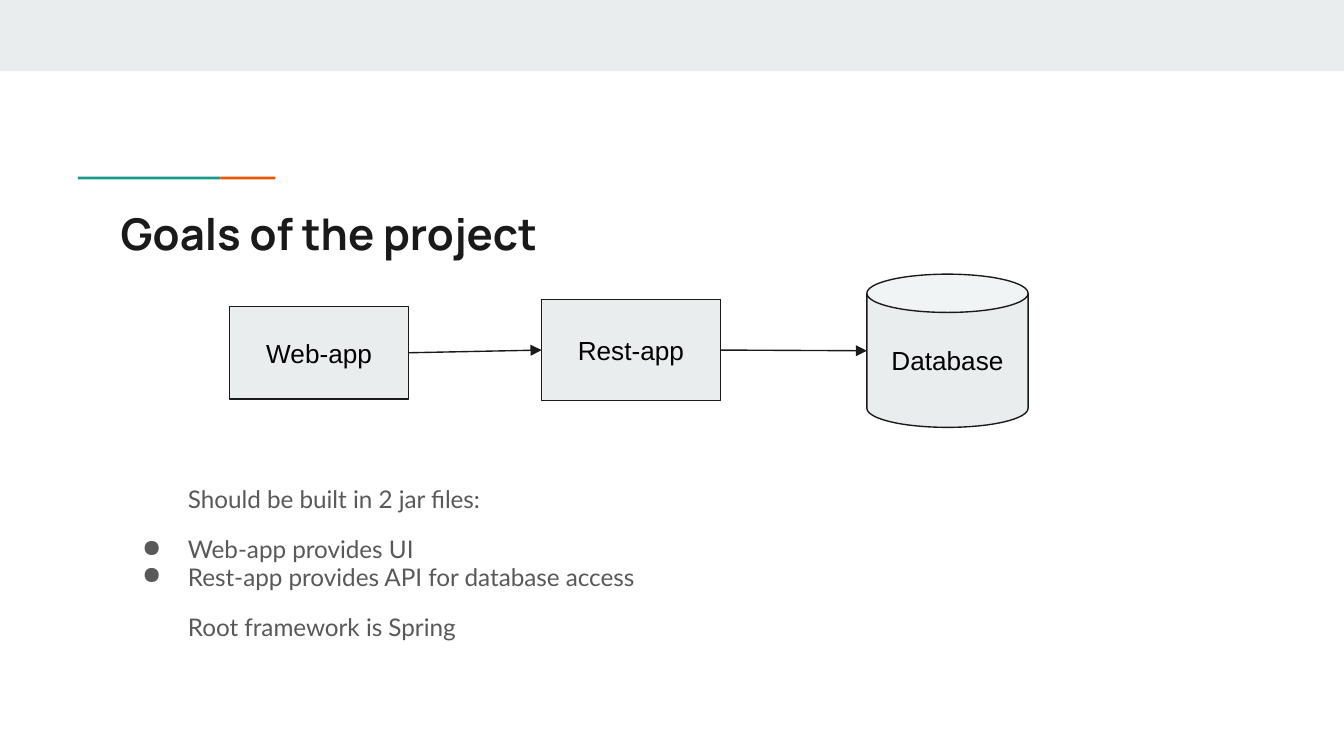
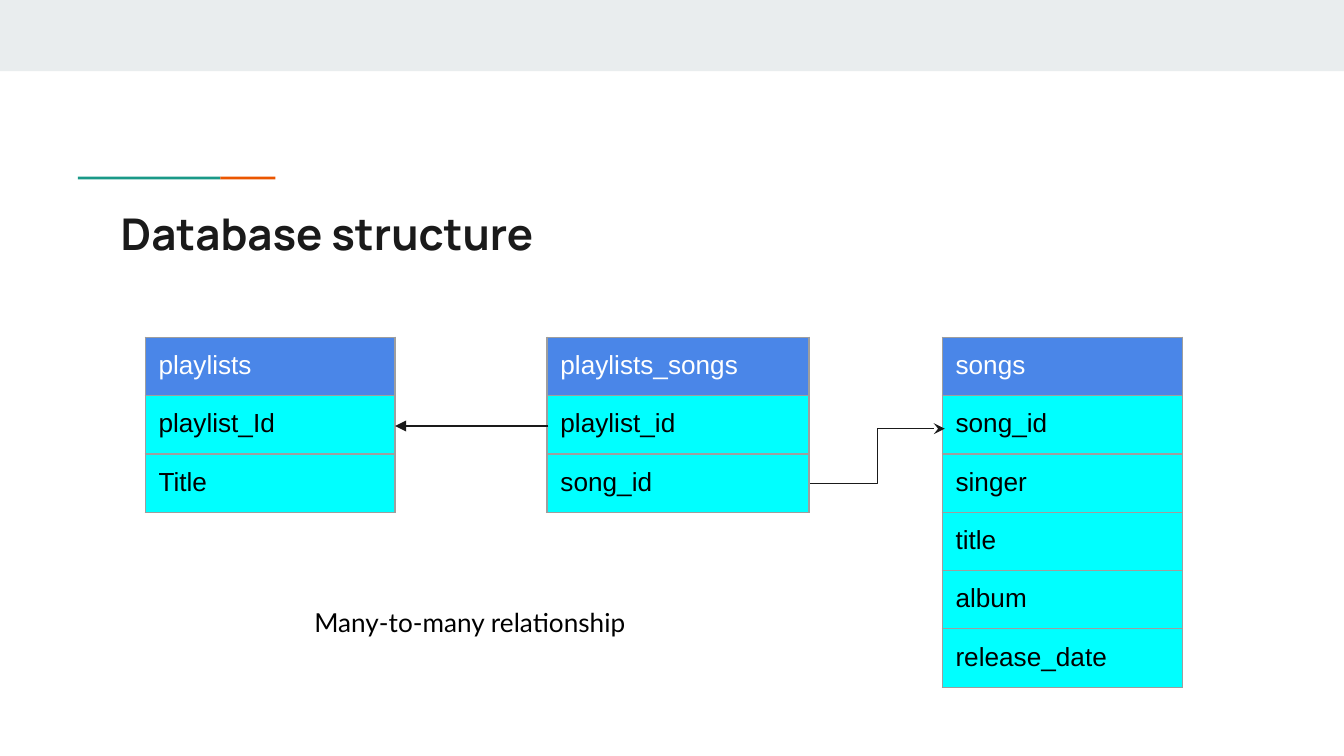
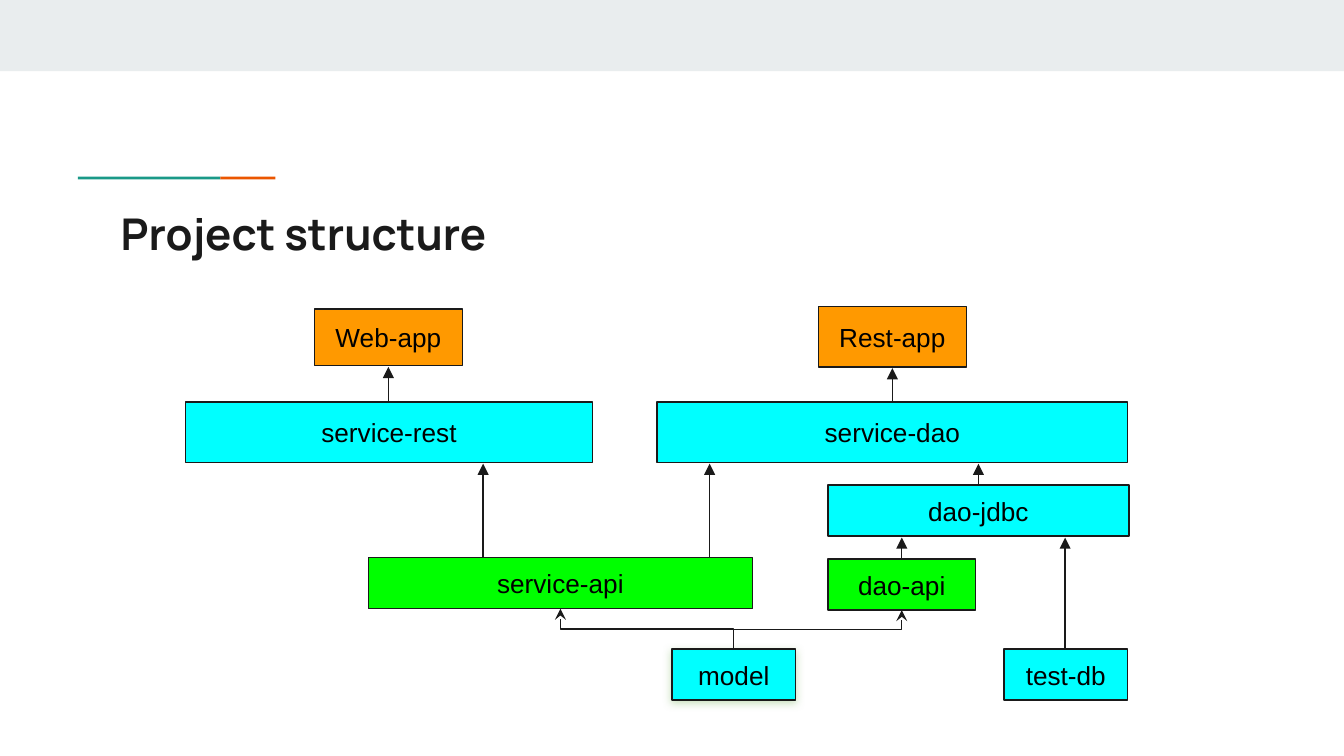
from dataclasses import dataclass

from lxml import etree
from pptx import Presentation
from pptx.dml.color import RGBColor
from pptx.enum.shapes import MSO_CONNECTOR, MSO_SHAPE
from pptx.enum.text import MSO_ANCHOR, PP_ALIGN
from pptx.oxml.ns import qn
from pptx.util import Inches, Pt

RECTANGLE, CAN = MSO_SHAPE.RECTANGLE, MSO_SHAPE.CAN
STRAIGHT, ELBOW = MSO_CONNECTOR.STRAIGHT, MSO_CONNECTOR.ELBOW
MIDDLE, TOP, CENTER = MSO_ANCHOR.MIDDLE, MSO_ANCHOR.TOP, PP_ALIGN.CENTER

# The slide is a grid of 100 columns by 56.25 rows
COLUMNS, ROWS = 100, 56.25
CELL = Inches(0.1)
TABLE_ROW = 4.2
LINE_WIDTH = Pt(0.75)

COLORS = {
    "band": "E9EDEE", "teal": "1A9988", "orange": "EB5600", "ink": "1A1A1A",
    "body": "595959", "black": "000000", "white": "FFFFFF", "header": "4A86E8",
    "cyan": "00FFFF", "green": "00FF00", "amber": "FF9900", "border": "9E9E9E",
    "glow": "93C47D",
}
FRAME_FORMAT = {
    "word_wrap": True,
    "margin_left": CELL, "margin_right": CELL, "margin_top": CELL, "margin_bottom": CELL,
}


@dataclass(frozen=True)
class TextStyle:
    font: str = "Arial"
    size: float = 14
    color: str = "black"
    bold: bool = False


LABEL = TextStyle()
HEADER = TextStyle(color="white")
TITLE = TextStyle("Manrope", 23.4, "ink", True)
BODY = TextStyle("Lato", 13, "body")
CAPTION = TextStyle("Lato")


@dataclass(frozen=True)
class Block:
    text: str
    left: float
    top: float
    width: float
    height: float
    color: str
    preset: int = RECTANGLE
    glow: bool = False

    @property
    def center(self) -> float:
        return self.left + self.width / 2

    @property
    def middle(self) -> float:
        return self.top + self.height / 2

    @property
    def right(self) -> float:
        return self.left + self.width

    @property
    def bottom(self) -> float:
        return self.top + self.height


@dataclass(frozen=True)
class BodyLine:
    text: str
    margin: float
    indent: float
    space_before: float = 0
    bullet: bool = False


@dataclass(frozen=True)
class Entity:
    left: float
    width: float
    names: tuple[str, ...]


# Content
FLOW = (
    Block("Web-app", 17.1, 22.8, 13.3, 6.9, "band"),
    Block("Rest-app", 40.3, 22.3, 13.3, 7.5, "band"),
    Block("Database", 64.5, 20.4, 12, 11.4, "band", CAN),
)
GOALS = (
    BodyLine("Should be built in 2 jar files:", 0, 5),
    BodyLine("Web-app provides UI", 5, -3.4, 12, True),
    BodyLine("Rest-app provides API for database access", 5, -3.4, 0, True),
    BodyLine("Root framework is Spring", 5, 0, 12),
)
ENTITIES = (
    Entity(10.8, 18.6, ("playlists", "playlist_Id", "Title")),
    Entity(40.7, 19.5, ("playlists_songs", "playlist_id", "song_id")),
    Entity(70.1, 17.9, ("songs", "song_id", "singer", "title", "album", "release_date")),
)
MODULES = {block.text: block for block in (
    Block("Web-app", 23.4, 23, 11, 4.2, "amber"),
    Block("Rest-app", 60.9, 22.8, 11, 4.5, "amber"),
    Block("service-rest", 13.8, 29.9, 30.3, 4.5, "cyan"),
    Block("service-dao", 48.9, 29.9, 35, 4.5, "cyan"),
    Block("dao-jdbc", 61.6, 36.1, 22.4, 3.8, "cyan"),
    Block("service-api", 27.4, 41.5, 28.6, 3.8, "green"),
    Block("dao-api", 61.6, 41.6, 11, 3.8, "green"),
    Block("model", 50, 48.3, 9.2, 3.8, "cyan", glow=True),
    Block("test-db", 74.7, 48.3, 9.2, 3.8, "cyan"),
)}
# Lower module, upper module, column of the arrow between them
DEPENDENCIES = (
    ("service-rest", "Web-app", 28.9), ("service-dao", "Rest-app", 66.4),
    ("service-api", "service-rest", 35.95), ("service-api", "service-dao", 52.8),
    ("dao-jdbc", "service-dao", 72.8), ("dao-api", "dao-jdbc", 67.1),
    ("test-db", "dao-jdbc", 79.25),
)


def cells(count: float) -> int:
    return round(count * CELL)


def rgb(name: str) -> RGBColor:
    return RGBColor.from_string(COLORS[name])


def apply_format(target, values: dict) -> None:
    for name, value in values.items():
        setattr(target, name, value)


def add_color(parent, name: str):
    fill = etree.SubElement(parent, qn("a:solidFill"))
    return etree.SubElement(fill, qn("a:srgbClr"), val=COLORS[name])


def write(paragraph, text: str, style: TextStyle) -> None:
    run = paragraph.add_run()
    run.text = text
    apply_format(run.font, {"name": style.font, "size": Pt(style.size), "bold": style.bold})
    run.font.color.rgb = rgb(style.color)


def add_text_frame(slide, left: float, top: float, width: float, height: float):
    frame = slide.shapes.add_textbox(*map(cells, (left, top, width, height))).text_frame
    apply_format(frame, FRAME_FORMAT | {"vertical_anchor": TOP})
    return frame


def add_block(slide, block: Block, outlined: bool = True) -> None:
    box = map(cells, (block.left, block.top, block.width, block.height))
    shape = slide.shapes.add_shape(block.preset, *box)
    shape.shadow.inherit = False
    shape.fill.solid()
    shape.fill.fore_color.rgb = rgb(block.color)
    if outlined:
        shape.line.color.rgb = rgb("ink")
        shape.line.width = LINE_WIDTH
    else:
        shape.line.fill.background()
    if block.glow:
        effects = shape._element.spPr.find(qn("a:effectLst"))
        shadow = etree.SubElement(effects, qn("a:outerShdw"), blurRad=str(Pt(4.5)),
                                  dist=str(Pt(1.5)), dir="5400000", algn="bl", rotWithShape="0")
        color = etree.SubElement(shadow, qn("a:srgbClr"), val=COLORS["glow"])
        etree.SubElement(color, qn("a:alpha"), val="50000")
    if block.text:
        frame = shape.text_frame
        apply_format(frame, FRAME_FORMAT | {"vertical_anchor": MIDDLE})
        frame.paragraphs[0].alignment = CENTER
        write(frame.paragraphs[0], block.text, LABEL)


def add_arrow(slide, start: tuple[float, float], end: tuple[float, float],
              kind: int = STRAIGHT, head: str = "triangle"):
    connector = slide.shapes.add_connector(kind, *map(cells, start + end))
    connector.line.color.rgb = rgb("ink")
    connector.line.width = LINE_WIDTH
    properties = connector._element.spPr
    etree.SubElement(properties.find(qn("a:ln")), qn("a:tailEnd"), type=head)
    etree.SubElement(properties, qn("a:effectLst"))
    return connector


def add_rising_elbow(slide, lower: Block, upper: Block) -> None:
    """Leave the lower block upwards, using an elbow turned by a quarter."""
    run, rise = upper.center - lower.center, lower.top - upper.bottom
    column, row = (lower.center + upper.center) / 2, (lower.top + upper.bottom) / 2
    side = 1 if run > 0 else -1
    connector = add_arrow(slide, (column - side * rise / 2, row - abs(run) / 2),
                          (column + side * rise / 2, row + abs(run) / 2), ELBOW, "stealth")
    turn = 270 if run > 0 else 90
    connector._element.spPr.find(qn("a:xfrm")).set("rot", str(turn * 60000))


def add_entity(slide, entity: Entity, top: float) -> None:
    count = len(entity.names)
    box = map(cells, (entity.left, top, entity.width, count * TABLE_ROW))
    table = slide.shapes.add_table(count, 1, *box).table
    apply_format(table, {"first_row": False, "horz_banding": False})
    for index, name in enumerate(entity.names):
        table.rows[index].height = cells(TABLE_ROW)
        cell = table.cell(index, 0)
        properties = cell._tc.get_or_add_tcPr()
        for side in ("lnL", "lnR", "lnT", "lnB"):
            add_color(etree.SubElement(properties, qn(f"a:{side}"), w=str(LINE_WIDTH)), "border")
        cell.fill.solid()
        cell.fill.fore_color.rgb = rgb("cyan" if index else "header")
        apply_format(cell, FRAME_FORMAT | {"vertical_anchor": TOP})
        write(cell.text_frame.paragraphs[0], name, LABEL if index else HEADER)


def add_body(slide, lines: tuple[BodyLine, ...]) -> None:
    frame = add_text_frame(slide, 8, 35.2, 84.1, 17.4)
    for index, line in enumerate(lines):
        paragraph = frame.add_paragraph() if index else frame.paragraphs[0]
        apply_format(paragraph, {"line_spacing": 0.95, "space_before": Pt(line.space_before)})
        properties = paragraph._p.get_or_add_pPr()
        properties.set("marL", str(cells(line.margin)))
        properties.set("indent", str(cells(line.indent)))
        if line.bullet:
            color = etree.SubElement(properties, qn("a:buClr"))
            etree.SubElement(color, qn("a:srgbClr"), val=COLORS["body"])
            etree.SubElement(properties, qn("a:buChar"), char="●")
        write(paragraph, line.text, BODY)


def add_slide(presentation, title: str):
    """Blank slide with the shared band, accent line and title."""
    slide = presentation.slides.add_slide(presentation.slide_layouts[6])
    for part in (Block("", 0, 0, COLUMNS, 5.3, "band"),
                 Block("", 5.8, 13.15, 10.6, 0.2, "teal"),
                 Block("", 16.4, 13.15, 4.1, 0.2, "orange")):
        add_block(slide, part, outlined=False)
    write(add_text_frame(slide, 8, 14.4, 84.1, 5.9).paragraphs[0], title, TITLE)
    return slide


def build_goals(presentation) -> None:
    slide = add_slide(presentation, "Goals of the project")
    add_body(slide, GOALS)
    for block in FLOW:
        add_block(slide, block)
    for source, target in zip(FLOW, FLOW[1:]):
        add_arrow(slide, (source.right, source.middle), (target.left, target.middle))


def build_database(presentation) -> None:
    slide = add_slide(presentation, "Database structure")
    for entity in ENTITIES:
        add_entity(slide, entity, 25.1)
    add_arrow(slide, (40.8, 31.7), (29.4, 31.7))
    add_arrow(slide, (60.3, 36), (70.3, 31.9), ELBOW, "stealth")
    caption = add_text_frame(slide, 22.4, 44.1, 25.4, 4.4)
    write(caption.paragraphs[0], "Many-to-many relationship", CAPTION)


def build_project(presentation) -> None:
    slide = add_slide(presentation, "Project structure")
    for block in MODULES.values():
        add_block(slide, block)
    for lower, upper, column in DEPENDENCIES:
        add_arrow(slide, (column, MODULES[lower].top), (column, MODULES[upper].bottom + 0.1))
    for upper in ("service-api", "dao-api"):
        add_rising_elbow(slide, MODULES["model"], MODULES[upper])


def main() -> None:
    presentation = Presentation()
    apply_format(presentation, {"slide_width": cells(COLUMNS), "slide_height": cells(ROWS)})
    for build in (build_goals, build_database, build_project):
        build(presentation)
    presentation.save("out.pptx")


if __name__ == "__main__":
    main()
